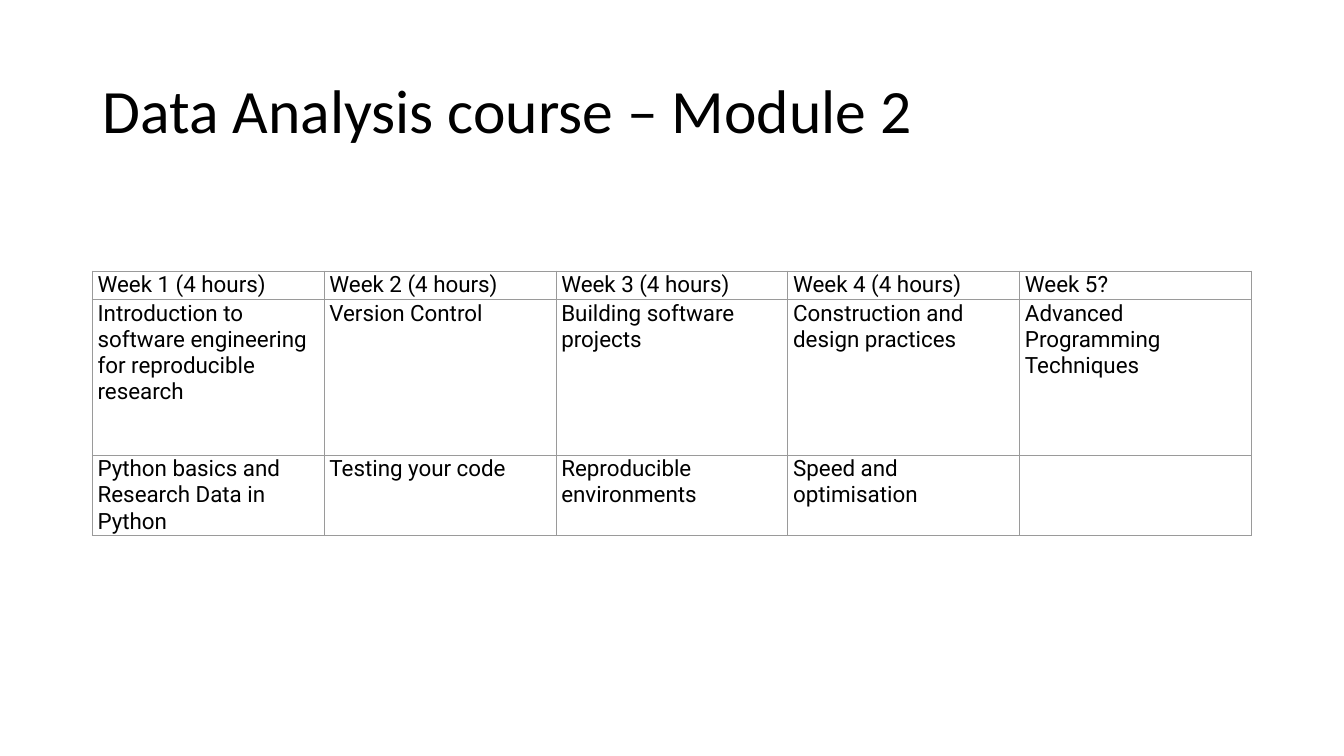
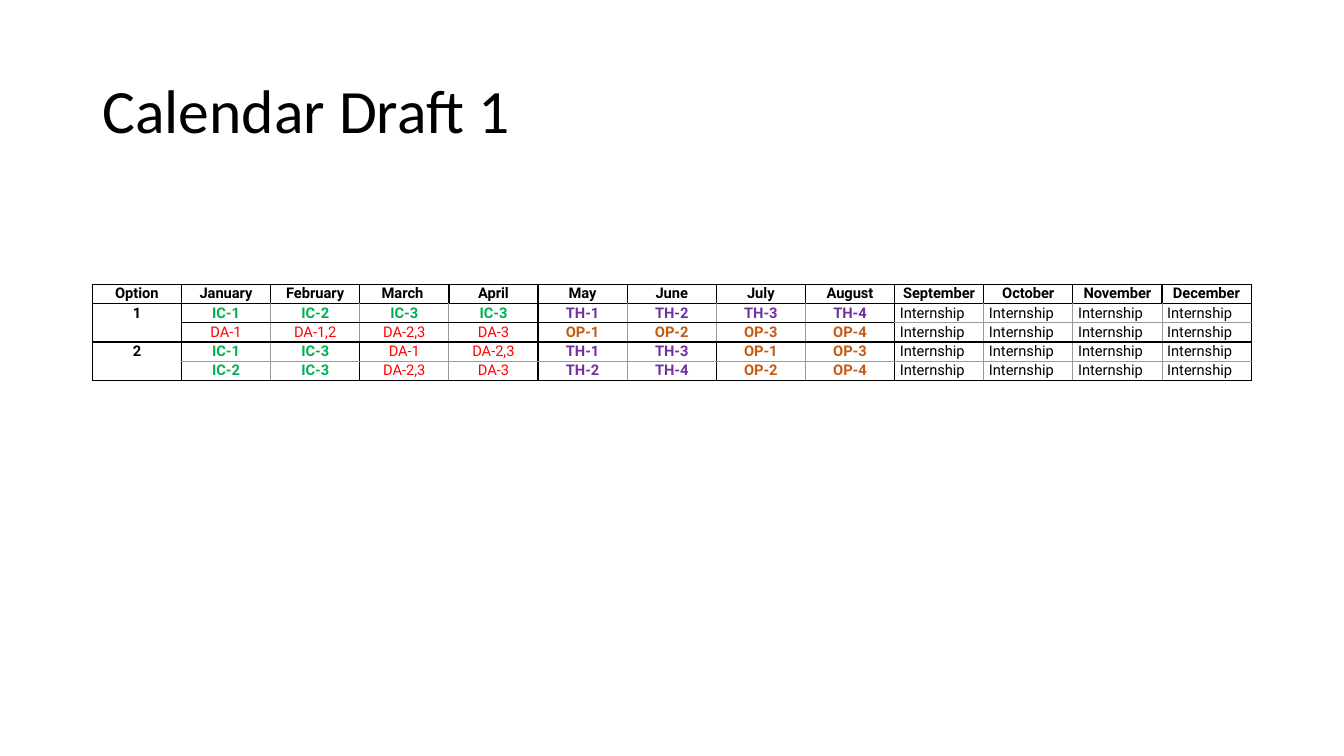
from lxml import etree
from pptx import Presentation
from pptx.dml.color import RGBColor
from pptx.enum import text
from pptx.oxml import ns
from pptx.util import Pt

BLACK, GREY = "000000", "9A9A9A"
SLIDE_SIZE = (960, 540)
LEFT, WIDTH = 66, 828
TITLE_TOP, TITLE_HEIGHT = 28.75, 104.4
CENTER, START = text.PP_ALIGN.CENTER, text.PP_ALIGN.LEFT

WEEKS = [
    ["Week 1 (4 hours)", "Week 2 (4 hours)", "Week 3 (4 hours)", "Week 4 (4 hours)", "Week 5?"],
    ["Introduction to software engineering for reproducible research", "Version Control",
     "Building software projects", "Construction and design practices",
     "Advanced Programming Techniques"],
    ["Python basics and Research Data in Python", "Testing your code",
     "Reproducible environments", "Speed and optimisation", ""],
]

INTERNSHIPS = ["Internship"] * 4
CALENDAR = [
    ["Option", "January", "February", "March\u00a0", "April", "May", "June", "July",
     "August", "September", "October", "November", "December"],
    ["1", "IC-1", "IC-2", "IC-3", "IC-3", "TH-1", "TH-2", "TH-3", "TH-4", *INTERNSHIPS],
    ["", "DA-1", "DA-1,2", "DA-2,3", "DA-3", "OP-1", "OP-2", "OP-3", "OP-4", *INTERNSHIPS],
    ["2", "IC-1", "IC-3", "DA-1", "DA-2,3", "TH-1", "TH-3", "OP-1", "OP-3", *INTERNSHIPS],
    ["", "IC-2", "IC-3", "DA-2,3", "DA-3", "TH-2", "TH-4", "OP-2", "OP-4", *INTERNSHIPS],
]
OPTION_OF_ROW = [0, 1, 1, 2, 2]
OPTION_STARTS = [1, 3]

MODULE_STYLES = {
    "IC": ("00B050", True, CENTER),
    "DA": ("FF0000", False, CENTER),
    "TH": ("7030A0", True, CENTER),
    "OP": ("C55A11", True, CENTER),
    "Internship": (BLACK, False, START),
}


def module(label):
    return label.split("-")[0]


def week_style(label):
    return BLACK, False, START


def calendar_style(label):
    return MODULE_STYLES.get(module(label), (BLACK, True, CENTER))


def week_edge(here, there):
    return GREY, 0.75


def calendar_edge(here, there):
    rows, cols = len(CALENDAR), len(CALENDAR[0])
    inside = 0 <= there[0] < rows and 0 <= there[1] < cols
    if inside and block(*here) == block(*there):
        return GREY, 0.75
    return BLACK, 1


def block(row, col):
    return OPTION_OF_ROW[row], module(CALENDAR[row][col])


def rgb(color):
    return RGBColor.from_string(color)


def assign(target, values):
    for name, value in values.items():
        setattr(target, name, value)


def draw_edges(cell, row, col, edge):
    neighbours = {"lnL": (row, col - 1), "lnR": (row, col + 1),
                  "lnT": (row - 1, col), "lnB": (row + 1, col)}
    properties = cell._tc.get_or_add_tcPr()
    for index, (side, neighbour) in enumerate(neighbours.items()):
        color, weight = edge((row, col), neighbour)
        line = etree.Element(ns.qn("a:" + side), w=str(int(Pt(weight))))
        fill = etree.SubElement(line, ns.qn("a:solidFill"))
        etree.SubElement(fill, ns.qn("a:srgbClr"), val=color)
        properties.insert(index, line)


def add_title(slide, wording):
    title = slide.shapes.title
    assign(title, {"left": Pt(LEFT), "top": Pt(TITLE_TOP),
                   "width": Pt(WIDTH), "height": Pt(TITLE_HEIGHT)})
    frame = title.text_frame
    frame.text = wording
    assign(frame, {"vertical_anchor": text.MSO_ANCHOR.MIDDLE, "word_wrap": True,
                   "auto_size": text.MSO_AUTO_SIZE.NONE})
    heading = frame.paragraphs[0]
    assign(heading, {"alignment": START, "line_spacing": 0.9})
    font = heading.runs[0].font
    assign(font, {"name": "Calibri", "size": Pt(44)})
    font.color.rgb = rgb(BLACK)


def add_schedule(slide, content, top, heights, size, style, edge):
    rows, cols = len(content), len(content[0])
    table = slide.shapes.add_table(rows, cols, Pt(LEFT), Pt(top),
                                   Pt(WIDTH), Pt(sum(heights))).table
    assign(table, {"first_row": False, "horz_banding": False})
    for column in table.columns:
        column.width = Pt(round(WIDTH / cols, 2))
    for row, labels in enumerate(content):
        table.rows[row].height = Pt(heights[row])
        for col, label in enumerate(labels):
            cell = table.cell(row, col)
            assign(cell, {"margin_left": Pt(3.75), "margin_right": Pt(3.75),
                          "margin_top": Pt(0.75), "margin_bottom": Pt(0.75)})
            cell.fill.background()
            draw_edges(cell, row, col, edge)
            if label:
                color, bold, alignment = style(label)
                entry = cell.text_frame.paragraphs[0]
                entry.alignment = alignment
                run = entry.add_run()
                run.text = label
                assign(run.font, {"name": "Roboto", "size": Pt(size), "bold": bold})
                run.font.color.rgb = rgb(color)
    return table


deck = Presentation()
deck.slide_width, deck.slide_height = map(Pt, SLIDE_SIZE)
title_only = deck.slide_layouts[5]

module_slide = deck.slides.add_slide(title_only)
add_title(module_slide, "Data Analysis course \u2013 Module 2")
add_schedule(module_slide, WEEKS, 193.6, [20.2, 111.4, 57], 16, week_style, week_edge)

calendar_slide = deck.slides.add_slide(title_only)
add_title(calendar_slide, "Calendar Draft 1")
calendar = add_schedule(calendar_slide, CALENDAR, 203, [13.8] * 5, 10.5,
                        calendar_style, calendar_edge)
for start in OPTION_STARTS:
    calendar.cell(start, 0).merge(calendar.cell(start + 1, 0))

deck.save("out.pptx")
